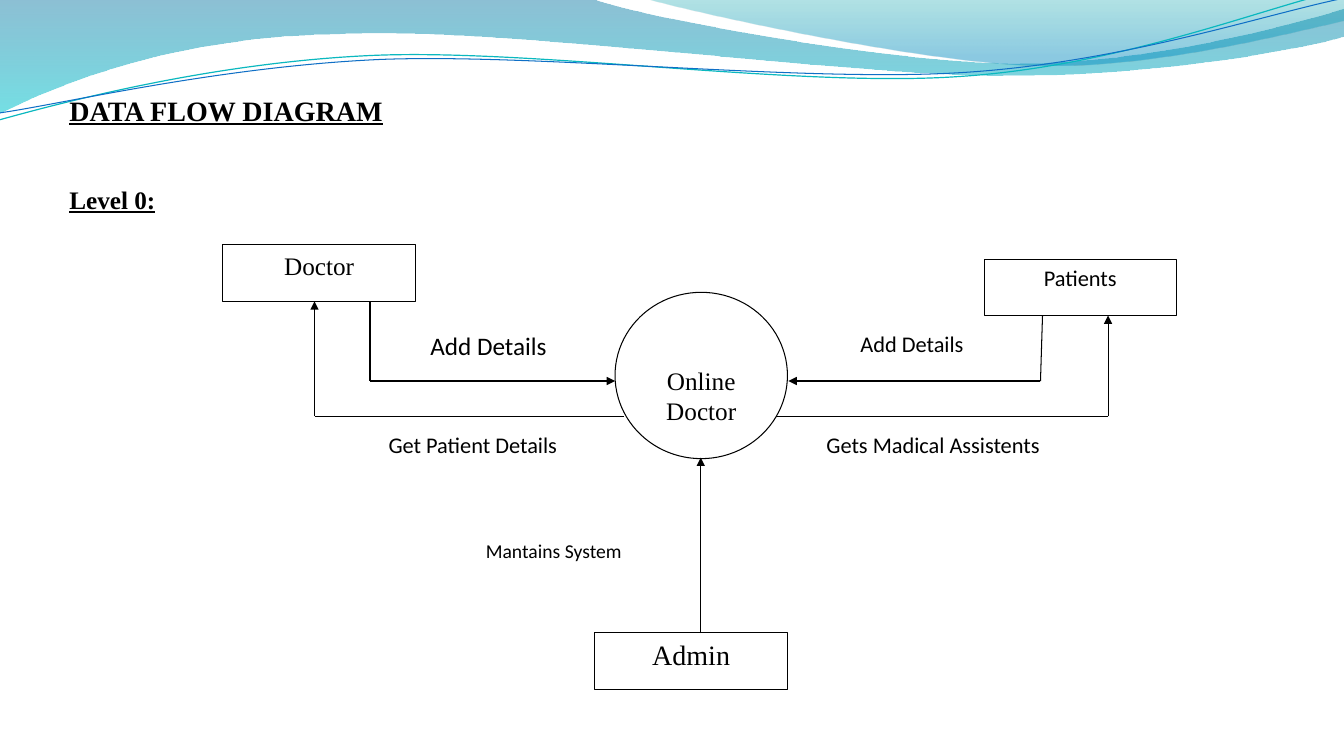
from lxml import etree
from pptx import Presentation
from pptx.dml.color import RGBColor
from pptx.enum.shapes import MSO_CONNECTOR, MSO_SHAPE
from pptx.enum.text import MSO_ANCHOR, PP_ALIGN
from pptx.oxml import parse_xml
from pptx.oxml.ns import nsdecls, qn
from pptx.util import Inches, Pt

RECT, OVAL = MSO_SHAPE.RECTANGLE, MSO_SHAPE.OVAL
LEFT, CENTER = PP_ALIGN.LEFT, PP_ALIGN.CENTER
TOP, MIDDLE = MSO_ANCHOR.TOP, MSO_ANCHOR.MIDDLE
STRAIGHT = MSO_CONNECTOR.STRAIGHT
SERIF, SANS = "Times New Roman", "Calibri"
COLORS = {"ink": "000000", "paper": "FFFFFF", "teal": "0AB8BF", "blue": "0F6FC6"}

# Waves: two numbers are a straight step, six are a Bezier step
BANDS = [
    ([(0, 0), (5.87, -0.01), (6.34, 0.17, 8.85, 0.63, 10.11, 0.63),
      (11.38, 0.63, 12.78, 0.26, 13.33, 0.09), (13.35, 0.36),
      (13.11, 0.44, 11.6, 0.76, 9.94, 0.75), (8.29, 0.75, 5.09, 0.28, 3.43, 0.34),
      (1.72, 0.36, 0.61, 0.83, -0.01, 1.13)],
     [(0, "0074A1", 45), (100, "00C6CF", 55)]),
    ([(6.39, -0.01), (6.79, 0.11, 9.09, 0.62, 10.25, 0.65),
      (11.41, 0.69, 12.82, 0.32, 13.33, 0.21), (13.33, 0)],
     [(0, "00A1A9", 30), (80, "008BBF", 45)]),
]
STRANDS = [
    ([(-0.01, 1.19), (0.64, 1.01, 2.11, 0.62, 3.69, 0.55),
      (5.27, 0.48, 7.9, 0.87, 9.5, 0.76), (11.1, 0.66, 12.52, 0.08, 13.31, -0.1)],
     "teal", 0.85),
    ([(0, 1.12), (0.63, 1.03, 2.18, 0.66, 3.78, 0.59),
      (5.37, 0.53, 7.96, 0.82, 9.55, 0.72), (11.15, 0.62, 12.55, 0.14, 13.34, -0.02)],
     "blue", 0.75),
]

# Headings: text, size, space before in points
HEADINGS = [("DATA FLOW DIAGRAM", 20, 0), ("Level 0:", 18, 41)]

# Flow labels: text, left, top, width, size, alignment
LABEL_H = 0.44
LABELS = [
    ("Mantains System", 4.72, 5.3, 2.11, 14, LEFT),
    ("Add Details", 3.79, 3.23, 2.11, 18, CENTER),
    ("Get Patient Details", 3.47, 4.23, 2.44, 16, CENTER),
    ("Add Details", 7.99, 3.23, 2.11, 16, CENTER),
    ("Gets Madical Assistents", 7.82, 4.23, 2.87, 16, CENTER),
]

# Entities: text, left, top, size, font
ENTITY_W, ENTITY_H = 1.91, 0.56
ENTITIES = [
    ("Doctor", 2.21, 2.43, 18, SERIF),
    ("Admin", 5.9, 6.28, 20, SERIF),
    ("Patients", 9.76, 2.57, 16, SANS),
]
PROCESS = ("Online Doctor", 6.1, 2.9, 1.71, 1.65)

# Flows: corner points, the arrowhead sits at the last one
IN_Y, OUT_Y = 3.78, 4.13
FLOWS = [
    [(3.67, 2.99), (3.67, IN_Y), (6.1, IN_Y)],
    [(6.19, OUT_Y), (3.12, OUT_Y), (3.12, 2.99)],
    [(10.34, 3.13), (10.32, IN_Y), (7.82, IN_Y)],
    [(7.7, OUT_Y), (10.99, OUT_Y), (10.99, 3.13)],
    [(6.95, 6.28), (6.95, 4.54)],
]


def rgb(name):
    """Return a palette colour."""
    return RGBColor.from_string(COLORS[name])


def add_wave(steps, close):
    """Add an outline whose six-number steps become Bezier curves."""
    pts = [(Inches(step[i]), Inches(step[i + 1]))
           for step in steps for i in range(0, len(step), 2)]
    fb = s.shapes.build_freeform(*pts[0], scale=1.0)
    fb.add_line_segments(pts[1:], close=close)
    sp = fb.convert_to_shape()
    lines = iter(list(sp._element.iter(qn("a:lnTo"))))
    for step in steps[1:]:
        first = next(lines)
        if len(step) == 6:
            curve = etree.Element(qn("a:cubicBezTo"))
            first.addprevious(curve)
            for line in (first, next(lines), next(lines)):
                curve.append(line[0])
                line.getparent().remove(line)
    sp.shadow.inherit = False
    sp.fill.background()
    return sp


def set_gradient(sp, stops):
    """Fill a shape downwards with translucent colour stops."""
    gs = "".join(
        f'<a:gs pos="{pos * 1000}"><a:srgbClr val="{color}">'
        f'<a:alpha val="{alpha * 1000}"/></a:srgbClr></a:gs>' for pos, color, alpha in stops)
    spPr = sp._element.spPr
    spPr.replace(spPr.find(qn("a:noFill")), parse_xml(
        f'<a:gradFill {nsdecls("a")} rotWithShape="1"><a:gsLst>{gs}</a:gsLst>'
        '<a:lin ang="5400000" scaled="0"/></a:gradFill>'))


def style_text(p, text, size, font, align):
    """Write one paragraph in black."""
    p.text, p.alignment = text, align
    p.font.size, p.font.name = Pt(size), font
    p.font.color.rgb = rgb("ink")


def add_box(kind, box, text, size, font, line, align=CENTER):
    """Add a white shape with text at its top."""
    sp = s.shapes.add_shape(kind, *map(Inches, box))
    sp.shadow.inherit = False
    sp.fill.solid()
    sp.fill.fore_color.rgb = rgb("paper")
    sp.line.color.rgb, sp.line.width = rgb(line), Pt(0.75)
    tf = sp.text_frame
    tf.word_wrap, tf.vertical_anchor = True, TOP
    style_text(tf.paragraphs[0], text, size, font, align)
    tf.paragraphs[0].space_after = Pt(10)
    return sp


def add_flow(points):
    """Join points with lines and end with an arrowhead."""
    for start, end in zip(points, points[1:]):
        c = s.shapes.add_connector(STRAIGHT, *map(Inches, start + end))
        c.line.color.rgb, c.line.width = rgb("ink"), Pt(0.75)
        if end == points[-1]:
            etree.SubElement(c.line._get_or_add_ln(), qn("a:tailEnd"), type="triangle")
        etree.SubElement(c._element.spPr, qn("a:effectLst"))


prs = Presentation()
prs.slide_width, prs.slide_height = Inches(13.33), Inches(7.5)
s = prs.slides.add_slide(prs.slide_layouts[6])

for steps, stops in BANDS:
    band = add_wave(steps, True)
    band.line.fill.background()
    set_gradient(band, stops)
for steps, color, width in STRANDS:
    strand = add_wave(steps, False)
    strand.line.color.rgb, strand.line.width = rgb(color), Pt(width)

tf = s.shapes.add_textbox(*map(Inches, (0.59, 0.87, 3.34, 1.31))).text_frame
tf.word_wrap, tf.vertical_anchor = False, MIDDLE
for i, (text, size, before) in enumerate(HEADINGS):
    p = tf.add_paragraph() if i else tf.paragraphs[0]
    style_text(p, text, size, SERIF, LEFT)
    p.font.bold = p.font.underline = True
    p.space_before = Pt(before)

for text, x, y, w, size, align in LABELS:
    add_box(RECT, (x, y, w, LABEL_H), text, size, SANS, "paper", align)
process = add_box(OVAL, PROCESS[1:], PROCESS[0], 18, SERIF, "ink")
process.text_frame.margin_top = Inches(0.48)
for text, x, y, size, font in ENTITIES:
    add_box(RECT, (x, y, ENTITY_W, ENTITY_H), text, size, font, "ink")
for points in FLOWS:
    add_flow(points)

prs.save("out.pptx")
